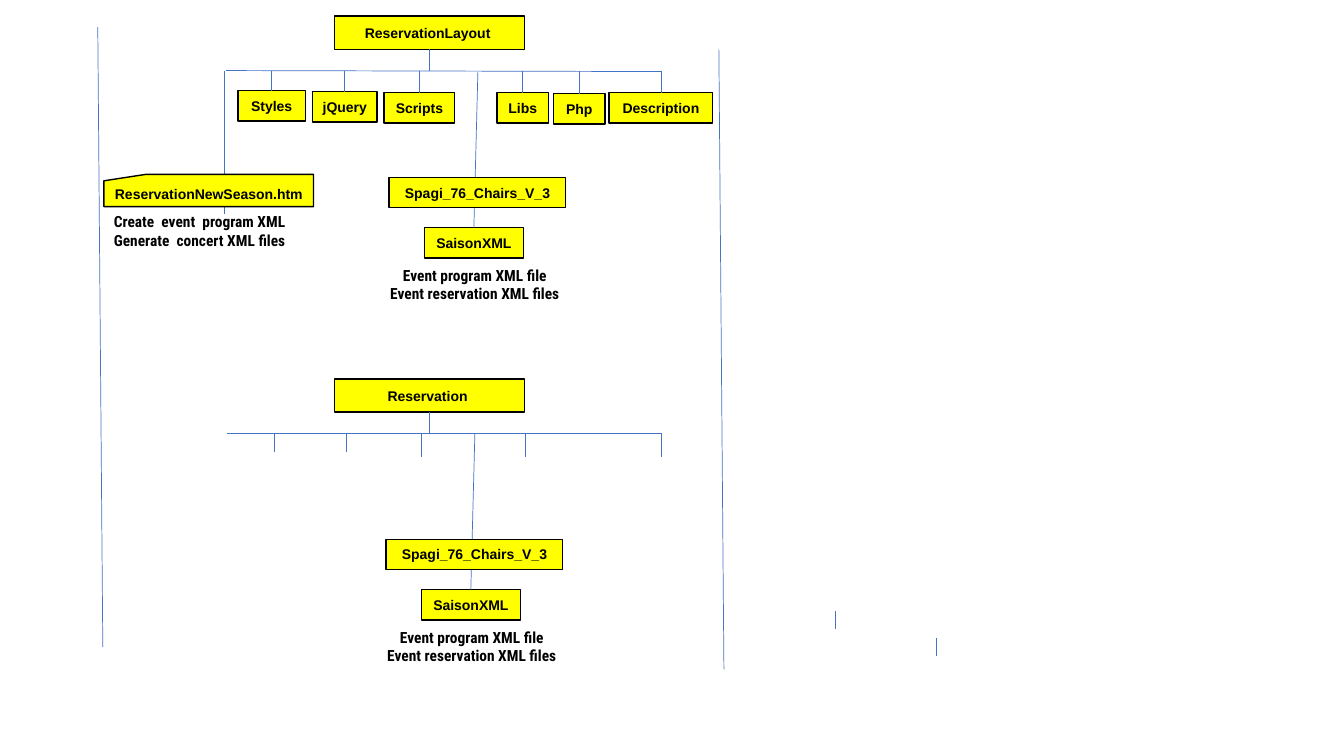
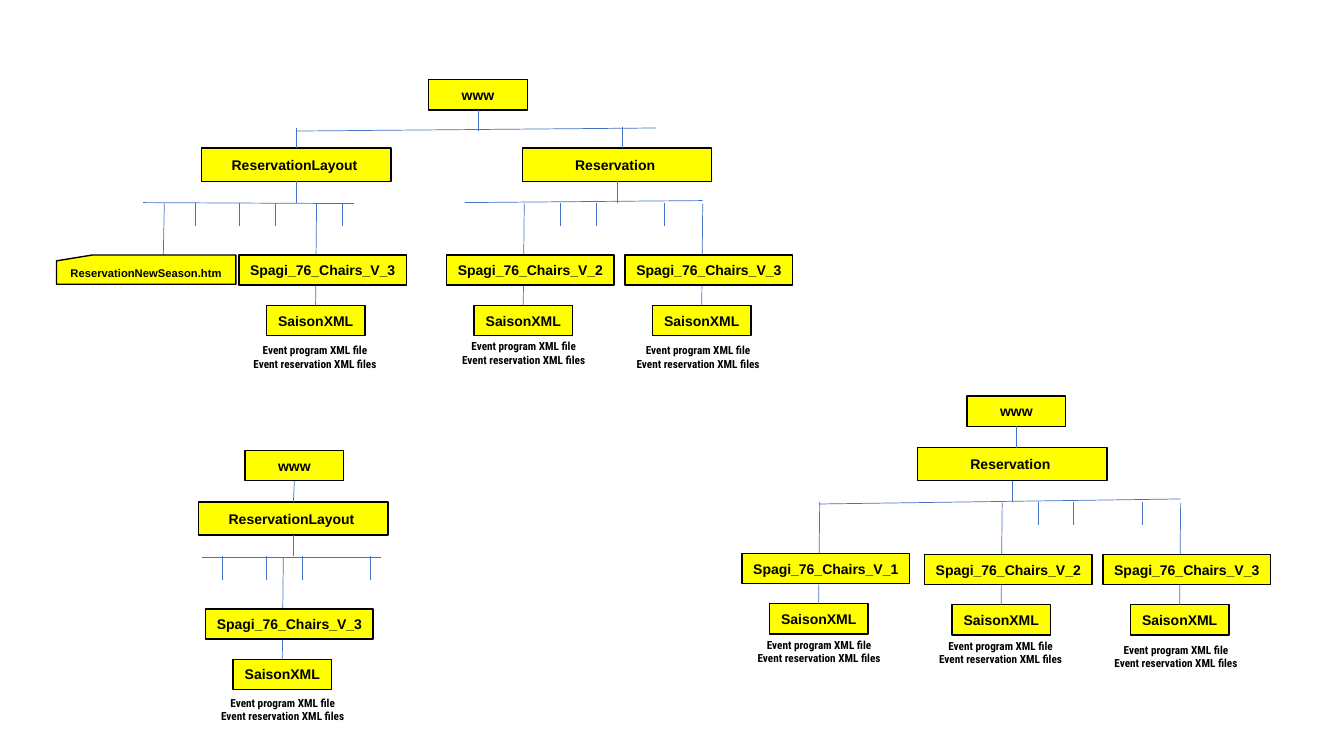
from lxml import etree
from pptx import Presentation
from pptx import util as u
from pptx.dml.color import RGBColor
from pptx.enum import shapes, text
from pptx.oxml import ns

COLORS = {"box": "FFFF00", "outline": "000000", "text": "000000", "line": "4472C4"}
BOX_FONT = {"name": "Arial", "bold": True}
CAPTION_FONT = {"name": "Roboto Condensed", "bold": True}
BOX_FRAME = {
    "word_wrap": True,
    "vertical_anchor": text.MSO_ANCHOR.MIDDLE,
    "margin_left": u.Inches(0.05),
    "margin_right": u.Inches(0.05),
}
CAPTION_FRAME = {"word_wrap": True, "vertical_anchor": text.MSO_ANCHOR.TOP}
EVENT_FILES = ("Event program XML file", "Event reservation XML files")
LARGE = {"width": 1.75, "inset": 0.35, "lean": 0.04, "rise": 1.05,
         "caption": (2.08, 0.47), "size": 11}
SMALL = {"width": 1.66, "inset": 0.27, "lean": 0.01, "rise": 0.51,
         "caption": (1.51, 0.37), "size": 8}
TOP, BOTTOM = 0, 2
BAR_DROP = 0.54


def rgb(name):
    return RGBColor.from_string(COLORS[name])


def apply(target, values):
    for name, value in values.items():
        setattr(target, name, value)


def write_text(shape, paragraphs, size, font, frame, align):
    text_frame = shape.text_frame
    apply(text_frame, frame)
    for index, words in enumerate(paragraphs):
        paragraph = text_frame.paragraphs[0] if index == 0 else text_frame.add_paragraph()
        paragraph.alignment = align
        run = paragraph.add_run()
        run.text = words
        apply(run.font, {**font, "size": u.Pt(size)})
        run.font.color.rgb = rgb("text")


def add_box(slide, label, left, top, width, height=0.3, size=10,
            kind=shapes.MSO_SHAPE.RECTANGLE):
    shape = slide.shapes.add_shape(kind, *map(u.Inches, (left, top, width, height)))
    shape.shadow.inherit = False
    shape.fill.solid()
    shape.fill.fore_color.rgb = rgb("box")
    shape.line.color.rgb = rgb("outline")
    shape.line.width = u.Pt(1)
    write_text(shape, [label], size, BOX_FONT, BOX_FRAME, text.PP_ALIGN.CENTER)
    return shape


def add_card(slide, left, top, width, height, size):
    add_box(slide, "ReservationNewSeason.htm", left, top, width, height, size,
            shapes.MSO_SHAPE.FLOWCHART_CARD)


def add_caption(slide, paragraphs, left, top, width, height, size,
                align=text.PP_ALIGN.CENTER):
    shape = slide.shapes.add_textbox(*map(u.Inches, (left, top, width, height)))
    write_text(shape, paragraphs, size, CAPTION_FONT, CAPTION_FRAME, align)


def add_line(slide, x1, y1, x2, y2, begin=None, end=None):
    line = slide.shapes.add_connector(
        shapes.MSO_CONNECTOR.STRAIGHT, *map(u.Inches, (x1, y1, x2, y2)))
    line.line.color.rgb = rgb("line")
    line.line.width = u.Pt(0.5)
    etree.SubElement(line._element.spPr, ns.qn("a:effectLst"))
    if begin:
        line.begin_connect(*begin)
    if end:
        line.end_connect(*end)


def add_ticks(slide, left, top, offsets, height=0.23):
    for offset in offsets:
        x = left + offset
        add_line(slide, x, top + BAR_DROP + height, x, top + BAR_DROP)


def add_folder(slide, label, left, top, bar, ticks=()):
    width, height = 1.88, 0.33
    center = left + width / 2
    x1, y1, x2, y2 = bar
    folder = add_box(slide, label, left, top, width, height)
    add_line(slide, center, top + height, center, top + BAR_DROP, begin=(folder, BOTTOM))
    add_line(slide, left + x1, top + y1, left + x2, top + y2)
    add_ticks(slide, left, top, ticks)
    return folder


def add_branch(slide, version, left, top, style, shift=(0, 0.83)):
    saison_width, saison_top = 0.98, top + 0.5
    saison_left = left + style["inset"]
    center = saison_left + saison_width / 2
    saison = add_box(slide, "SaisonXML", saison_left, saison_top, saison_width)
    add_line(slide, center, saison_top, center + style["lean"], top - style["rise"],
             begin=(saison, TOP))
    add_box(slide, f"Spagi_76_Chairs_V_{version}", left, top, style["width"])
    add_caption(slide, EVENT_FILES, left + shift[0], top + shift[1],
                *style["caption"], style["size"])


def add_root(slide, left, top, end=None):
    width, height = 0.98, 0.3
    center, bottom = left + width / 2, top + height
    root = add_box(slide, "www", left, top, width, height)
    add_line(slide, center, bottom, center, bottom + 0.21, begin=(root, BOTTOM), end=end)


def build_layout_folder(slide, left, top):
    bar_top = top + BAR_DROP
    card_x = left - 1.09
    add_line(slide, card_x, top + 1.96, card_x, bar_top)
    add_folder(slide, "ReservationLayout ", left, top, (-1.08, 0.54, 3.24, 0.55))
    children = [
        ("Styles", -0.96, 0.74, 0.67),
        ("jQuery", -0.22, 0.75, 0.64),
        ("Scripts", 0.49, 0.76, 0.7),
        ("Libs", 1.61, 0.76, 0.51),
        ("Php", 2.17, 0.77, 0.51),
        ("Description", 2.72, 0.76, 1.03),
    ]
    for label, x, y, width in children:
        child = add_box(slide, label, left + x, top + y, width)
        center = left + x + width / 2
        add_line(slide, center, bar_top, center, top + y, end=(child, TOP))
    add_card(slide, left - 2.29, top + 1.57, 2.08, 0.32, 10)
    add_caption(slide, ["Create  event  program XML Generate  concert XML files"],
                left - 2.29, top + 1.9, 2.08, 0.47, 11, text.PP_ALIGN.LEFT)
    add_branch(slide, 3, left + 0.54, top + 1.6, LARGE, (-0.19, 0.83))


def build_reservation_folder(slide, left, top):
    add_folder(slide, "Reservation ", left, top, (-1.07, 0.54, 3.24, 0.54),
               (0.86, 1.89, 3.24))
    add_ticks(slide, left, top, (-0.6, 0.12), 0.18)
    add_branch(slide, 3, left + 0.51, top + 1.59, LARGE, (-0.19, 0.83))


def build_folder_slide(slide):
    for line in [(8.29, 6.24, 8.29, 6.06), (9.29, 6.51, 9.29, 6.33),
                 (7.18, 6.64, 7.13, 0.49), (1.02, 6.42, 0.97, 0.27)]:
        add_line(slide, *line)
    build_layout_folder(slide, 3.32, 0.16)
    build_reservation_folder(slide, 3.32, 3.76)


def build_full_tree(slide, left, top):
    folder_top, branch_top = top + 0.68, top + 1.74
    bar_top = top + 0.48
    layout_left, reservation_left = left + 1.44, left + 4.62
    layout = add_folder(slide, "ReservationLayout ", layout_left, folder_top,
                        (-0.58, 0.54, 1.51, 0.55), (-0.06, 0.37, 0.73, 1.4))
    add_folder(slide, "Reservation ", reservation_left, folder_top,
               (-0.57, 0.54, 1.79, 0.52), (0.38, 0.73, 1.41))
    add_line(slide, left + 2.38, bar_top, left + 2.38, folder_top, end=(layout, TOP))
    add_line(slide, left + 5.61, bar_top - 0.01, left + 5.61, folder_top)
    add_line(slide, left + 2.38, top + 0.51, left + 5.95, bar_top)
    add_root(slide, left + 3.69, top)
    add_line(slide, left + 1.06, branch_top, left + 1.07, top + 1.23)
    add_card(slide, left, branch_top, 1.78, 0.29, 8)
    for version, x, shift in [(3, 1.81, (0, 0.83)), (2, 3.87, (0.01, 0.79)),
                              (3, 5.64, (-0.03, 0.83))]:
        add_branch(slide, version, left + x, branch_top, SMALL, shift)


def build_reservation_tree(slide, left, top):
    add_folder(slide, "Reservation ", left + 1.74, top + 0.51,
               (-0.98, 0.56, 2.61, 0.51), (1.2, 1.55, 2.23))
    add_root(slide, left + 2.23, top)
    for version, x, y, shift in [(1, 0, 1.56, (0.01, 0.79)), (2, 1.81, 1.57, (0, 0.79)),
                                 (3, 3.58, 1.57, (-0.03, 0.83))]:
        add_branch(slide, version, left + x, top + y, SMALL, shift)


def build_layout_tree(slide, left, top):
    folder = add_folder(slide, "ReservationLayout ", left, top + 0.51,
                        (0.03, 0.55, 1.81, 0.55), (0.24, 0.67, 1.03, 1.7))
    add_root(slide, left + 0.46, top, end=(folder, TOP))
    add_branch(slide, 3, left + 0.07, top + 1.57, SMALL, (0.01, 0.82))


def build_tree_slide(slide):
    build_full_tree(slide, 0.56, 0.79)
    build_reservation_tree(slide, 7.36, 3.93)
    build_layout_tree(slide, 1.97, 4.47)


def main():
    presentation = Presentation()
    presentation.slide_width = u.Inches(13.33)
    presentation.slide_height = u.Inches(7.5)
    for build in (build_folder_slide, build_tree_slide):
        build(presentation.slides.add_slide(presentation.slide_layouts[6]))
    presentation.save("out.pptx")


if __name__ == "__main__":
    main()
